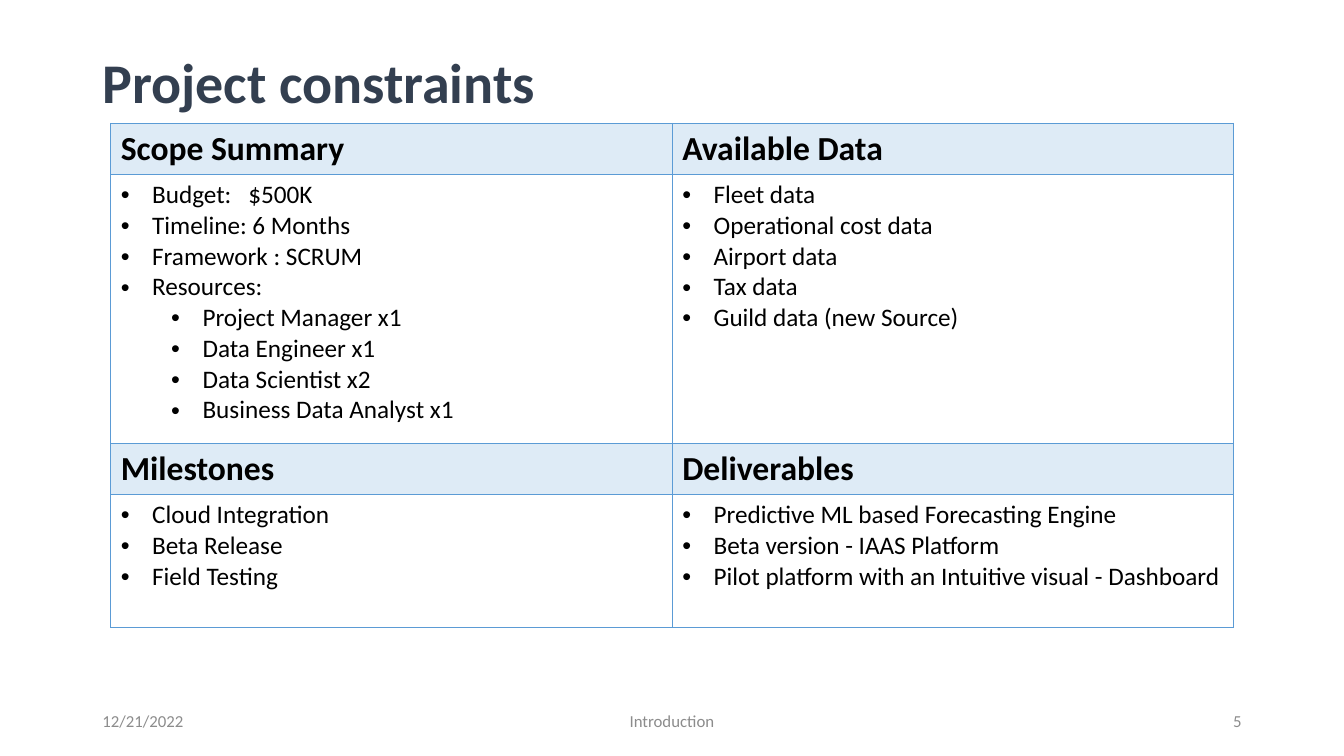
import dataclasses

import lxml.etree
import pptx
import pptx.dml.color
import pptx.enum.text
import pptx.oxml.ns
import pptx.util

Cm, Pt = pptx.util.Cm, pptx.util.Pt
Align = pptx.enum.text.PP_ALIGN
Anchor = pptx.enum.text.MSO_ANCHOR
qn = pptx.oxml.ns.qn


@dataclasses.dataclass(frozen=True)
class Theme:
    font: str = "Calibri"
    title_color: str = "333F50"
    text_color: str = "000000"
    footer_color: str = "8C8C8C"
    accent: str = "5B9BD5"
    heading_opacity: int = 20  # percent
    title_size: int = 40
    heading_size: int = 24
    body_size: int = 18
    footer_size: int = 12
    border_width: int = 1


THEME = Theme()

# Each topic: heading, then (level, text) bullets
SCOPE = ("Scope Summary", [
    (0, "Budget: \u00a0 $500K"), (0, "Timeline: 6 Months"),
    (0, "Framework : SCRUM"), (0, "Resources:"),
    (1, "Project Manager x1"), (1, "Data Engineer x1"),
    (1, "Data Scientist x2"), (1, "Business Data Analyst x1")])
DATA = ("Available Data", [
    (0, "Fleet data"), (0, "Operational cost data"), (0, "Airport data"),
    (0, "Tax data"), (0, "Guild data (new Source)")])
MILESTONES = ("Milestones", [
    (0, "Cloud Integration"), (0, "Beta Release"), (0, "Field Testing")])
DELIVERABLES = ("Deliverables", [
    (0, "Predictive ML based Forecasting Engine"),
    (0, "Beta version - IAAS Platform"),
    (0, "Pilot platform with an Intuitive visual - Dashboard")])
TOPIC_GRID = [[SCOPE, DATA], [MILESTONES, DELIVERABLES]]
ROW_HEIGHTS = [1.29, 6.77, 1.29, 3.35]


def format_text(paragraph, size, color, bold=False):
    for run in paragraph.runs:
        run.font.name = THEME.font
        run.font.size = Pt(size)
        run.font.bold = bold
        run.font.color.rgb = pptx.dml.color.RGBColor.from_string(color)


def add_border(cell):
    properties = cell._tc.get_or_add_tcPr()
    for side in ("lnL", "lnR", "lnT", "lnB"):
        line = lxml.etree.SubElement(properties, qn("a:" + side),
                                     w=str(Pt(THEME.border_width)))
        fill = lxml.etree.SubElement(line, qn("a:solidFill"))
        lxml.etree.SubElement(fill, qn("a:srgbClr"), val=THEME.accent)


def add_bullet(paragraph, level):
    paragraph.level = level
    properties = paragraph._p.get_or_add_pPr()
    properties.set("marL", str(Cm(0.79 + 1.27 * level)))
    properties.set("indent", str(-Cm(0.79)))
    lxml.etree.SubElement(properties, qn("a:buFont"), typeface="Arial")
    lxml.etree.SubElement(properties, qn("a:buChar"), char="•")


def fill_heading(cell, heading):
    cell.text_frame.text = heading
    format_text(cell.text_frame.paragraphs[0], THEME.heading_size,
                THEME.text_color, bold=True)
    cell.fill.solid()
    cell.fill.fore_color.rgb = pptx.dml.color.RGBColor.from_string(THEME.accent)
    color = cell._tc.tcPr.find(qn("a:solidFill")).find(qn("a:srgbClr"))
    lxml.etree.SubElement(color, qn("a:alpha"),
                          val=str(THEME.heading_opacity * 1000))


def fill_bullets(cell, bullets):
    cell.fill.background()
    cell.text_frame.text = "\n".join(text for _, text in bullets)
    for paragraph, (level, _) in zip(cell.text_frame.paragraphs, bullets):
        add_bullet(paragraph, level)
        format_text(paragraph, THEME.body_size, THEME.text_color)


def place_title(slide, left, top, width, height):
    title = slide.shapes.title
    title.left, title.top, title.width, title.height = left, top, width, height
    frame = title.text_frame
    frame.text = "Project constraints"
    frame.auto_size = pptx.enum.text.MSO_AUTO_SIZE.NONE
    frame.vertical_anchor = Anchor.MIDDLE
    paragraph = frame.paragraphs[0]
    paragraph.alignment = Align.LEFT
    paragraph.line_spacing = 0.9
    format_text(paragraph, THEME.title_size, THEME.title_color, bold=True)


def add_constraints_table(slide, left, top, width, height):
    columns = len(TOPIC_GRID[0])
    table = slide.shapes.add_table(len(ROW_HEIGHTS), columns,
                                   left, top, width, height).table
    table.first_row = table.horz_banding = False
    for row, row_height in zip(table.rows, ROW_HEIGHTS):
        row.height = Cm(row_height)
    for cell in table.iter_cells():
        add_border(cell)
    # Every topic takes a heading row and the bullet row below it
    for band, topics in enumerate(TOPIC_GRID):
        for column, (heading, bullets) in enumerate(topics):
            fill_heading(table.cell(2 * band, column), heading)
            fill_bullets(table.cell(2 * band + 1, column), bullets)


def add_footer(slide, left, top, width, height):
    side, middle = Cm(7.62), Cm(11.43)
    parts = [("12/21/2022", left, side, Align.LEFT),
             ("Introduction", left + (width - middle) // 2, middle, Align.CENTER),
             ("5", left + width - side, side, Align.RIGHT)]
    for text, part_left, part_width, alignment in parts:
        box = slide.shapes.add_textbox(part_left, top, part_width, height)
        frame = box.text_frame
        frame.word_wrap = True
        frame.vertical_anchor = Anchor.MIDDLE
        frame.text = text
        frame.paragraphs[0].alignment = alignment
        format_text(frame.paragraphs[0], THEME.footer_size, THEME.footer_color)


def build_constraints_slide(presentation):
    slide = presentation.slides.add_slide(presentation.slide_layouts[5])
    margin = Cm(2.33)
    content_width = presentation.slide_width - 2 * margin
    place_title(slide, margin, Cm(1.03), content_width, Cm(2.25))
    add_constraints_table(slide, Cm(2.79), Cm(3.11), Cm(28.3),
                          Cm(sum(ROW_HEIGHTS)))
    add_footer(slide, margin, Cm(17.65), content_width, Cm(1.01))


presentation = pptx.Presentation()
presentation.slide_width = Cm(33.87)
presentation.slide_height = Cm(19.05)
build_constraints_slide(presentation)
presentation.save("out.pptx")
